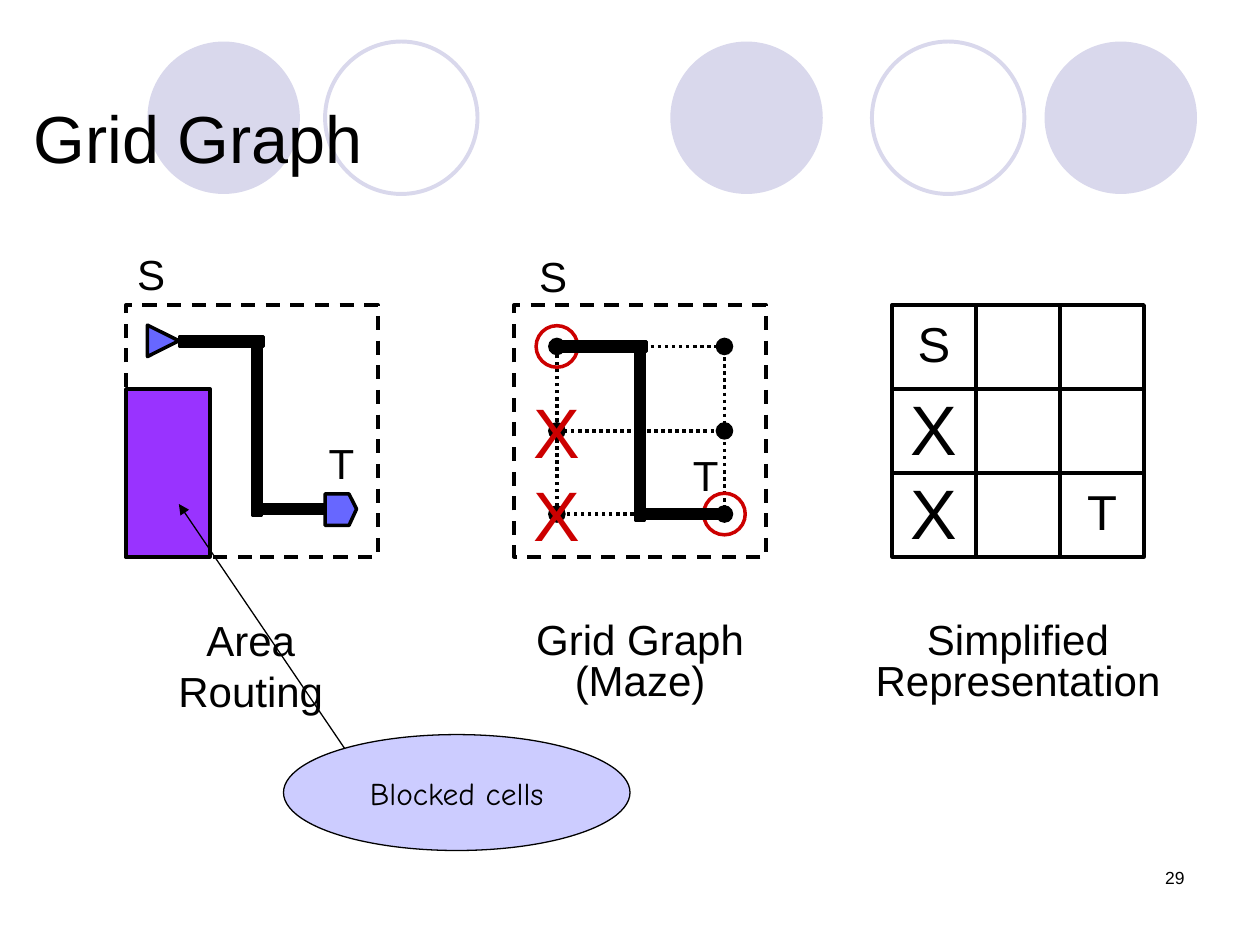
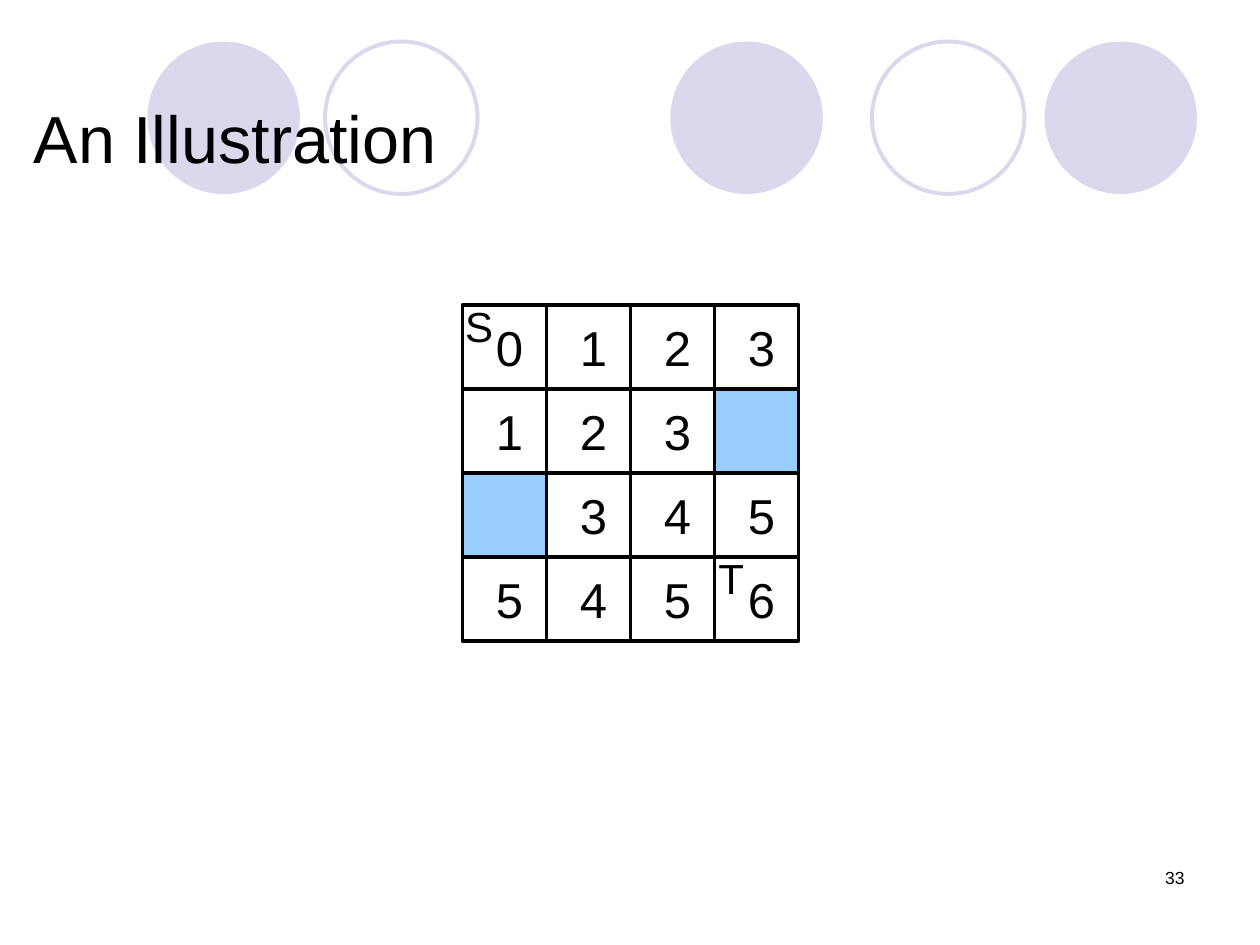
from lxml import etree
from pptx import Presentation
from pptx.dml.color import RGBColor
from pptx.enum.dml import MSO_LINE
from pptx.enum.shapes import MSO_CONNECTOR, MSO_SHAPE
from pptx.enum.text import MSO_ANCHOR, PP_ALIGN
from pptx.oxml.ns import qn
from pptx.util import Inches, Pt

RECT, OVAL, TRIANGLE = MSO_SHAPE.RECTANGLE, MSO_SHAPE.OVAL, MSO_SHAPE.ISOSCELES_TRIANGLE
STRAIGHT = MSO_CONNECTOR.STRAIGHT
DASH, DOT = MSO_LINE.DASH, MSO_LINE.ROUND_DOT
LEFT, CENTER, RIGHT = PP_ALIGN.LEFT, PP_ALIGN.CENTER, PP_ALIGN.RIGHT
TOP, MIDDLE = MSO_ANCHOR.TOP, MSO_ANCHOR.MIDDLE

BLACK = RGBColor(0x00, 0x00, 0x00)
RED = RGBColor(0xCC, 0x00, 0x00)
LILAC = RGBColor(0xD9, 0xD8, 0xEC)
PURPLE = RGBColor(0x99, 0x33, 0xFF)
VIOLET = RGBColor(0x67, 0x67, 0xFF)
LAVENDER = RGBColor(0xCC, 0xCC, 0xFF)
SKY = RGBColor(0x99, 0xCC, 0xFF)

SANS, COMIC = "Arial", "Comic Neue"
CELL = 2 / 3
GRID_TOP = 2.42
BAR = 0.08
EMS = {"S": 0.67, "T": 0.61, "X": 0.67}  # letter widths; a digit takes 0.56

# Content
DISCS = [(5.32, True), (8.29, True), (1.17, True), (6.92, False), (2.58, False)]
ROUTE = ["S  ".split(" "), ["X", "", ""], ["X", "", "T"]]
STEPS = [["0", "1", "2", "3"], ["1", "2", "3", "#"], ["#", "3", "4", "5"], ["5", "4", "5", "6"]]
CORNERS = [("S", 0, 0), ("T", 3, 3)]  # letter, row, column
CAPTIONS = [  # lines, centre x, top, width
    (["Area Routing"], 1.99, 4.83, 2.14),
    (["Grid Graph", "(Maze)"], 5.08, 4.9, 1.85),
    (["Simplified", "Representation"], 8.08, 4.9, 2.46),
]
AREA_ENDS = [("S", 1.2, 2.17), ("T", 2.71, 3.67)]
MAZE_ENDS = [("S", 4.39, 2.19), ("T", 5.6, 3.77)]
AREA_BARS = [(1.42, 2.67, 0.67, BAR), (2, 4, 0.58, BAR), (2, 2.67, BAR, 1.42)]
MAZE_BARS = [(4.46, 2.71, 0.67, BAR), (5.04, 4.04, 0.71, BAR), (5.04, 2.71, BAR, 1.42)]
PIN = [(2.58, 3.92), (2.77, 3.92), (2.83, 4.04), (2.77, 4.17), (2.58, 4.17)]
MAZE_X, MAZE_Y = [4.42, 5.08, 5.75], [2.75, 3.42, 4.08]


def apply(obj, values):
    for name, value in values.items():
        setattr(obj, name, value)


def paint(shape, fill=None, line=BLACK, width=2, dash=None):
    shape.shadow.inherit = False
    if fill is None:
        shape.fill.background()
    else:
        shape.fill.solid()
        shape.fill.fore_color.rgb = fill
    if line is None:
        shape.line.fill.background()
    else:
        shape.line.color.rgb = line
        apply(shape.line, {"width": Pt(width), "dash_style": dash})
    return shape


def draw(slide, kind, x, y, w, h, **look):
    shape = slide.shapes.add_shape(kind, *map(Inches, (x, y, w, h)))
    return paint(shape, **look)


def disc(slide, x, y, size, **look):
    """Draw a circle around the centre x, y."""
    return draw(slide, OVAL, x - size / 2, y - size / 2, size, size, **look)


def join(slide, start, end, width, dash=None, arrow=False):
    """Draw a straight line, with an arrowhead at its start if asked."""
    line = slide.shapes.add_connector(STRAIGHT, *map(Inches, (*start, *end)))
    line.line.color.rgb = BLACK
    apply(line.line, {"width": Pt(width), "dash_style": dash})
    props = line.line._get_or_add_ln()
    if arrow:
        etree.SubElement(props, qn("a:headEnd"), type="triangle")
    etree.SubElement(props.getparent(), qn("a:effectLst"))


def write(shape, lines, size, align=CENTER, anchor=TOP, wrap=False,
          font=SANS, color=BLACK, space=None):
    frame = shape.text_frame
    apply(frame, {"text": "\n".join(lines), "word_wrap": wrap, "vertical_anchor": anchor})
    for para in frame.paragraphs:
        apply(para, {"alignment": align, "line_spacing": space})
        apply(para.font, {"size": Pt(size), "name": font})
        para.font.color.rgb = color


def text(slide, lines, x, y, w, h, size, **look):
    write(slide.shapes.add_textbox(*map(Inches, (x, y, w, h))), lines, size, **look)


def mark(slide, letter, x, y, size, color=BLACK):
    """Write one letter around the centre x, y."""
    w = 0.2 + EMS.get(letter, 0.56) * size / 72
    h = 0.1 + 1.2 * size / 72
    text(slide, [letter], x - w / 2, y - h / 2, w, h, size, color=color)


def spot(left, row, col):
    """Give the centre of a grid cell."""
    return left + (col + 0.5) * CELL, GRID_TOP + (row + 0.5) * CELL


def grid(slide, left, rows, dx=0, dy=0):
    """Draw a square grid; "#" marks a filled cell, and marks shift by dx, dy."""
    cells = [(r, c, mark_) for r, row in enumerate(rows) for c, mark_ in enumerate(row)]
    for r, c, sign in cells:
        draw(slide, RECT, left + c * CELL, GRID_TOP + r * CELL, CELL, CELL,
             fill=SKY if sign == "#" else None)
    for r, c, sign in cells:
        if sign and sign != "#":
            x, y = spot(left, r, c)
            mark(slide, sign, x + dx, y + dy, 40 if sign == "X" else 28)


def bars(slide, boxes):
    for box in boxes:
        draw(slide, RECT, *box, fill=BLACK, width=1.5)


def area(slide):
    draw(slide, RECT, 1, GRID_TOP, 2, 2, dash=DASH)
    draw(slide, RECT, 1, GRID_TOP + CELL, CELL, 2 * CELL, fill=PURPLE)
    first, *rest = [tuple(map(Inches, point)) for point in PIN]
    outline = slide.shapes.build_freeform(*first)
    outline.add_line_segments(rest, close=True)
    paint(outline.convert_to_shape(), fill=VIOLET)
    draw(slide, TRIANGLE, 1.17, 2.58, 0.25, 0.25, fill=VIOLET).rotation = 90
    bars(slide, AREA_BARS)
    for letter, x, y in AREA_ENDS:
        mark(slide, letter, x, y, 24)


def maze(slide):
    west, mid, east = MAZE_X
    north, half, south = MAZE_Y
    draw(slide, RECT, west, north, east - west, south - north, dash=DOT)
    for x in (west, east):
        for y in MAZE_Y:
            disc(slide, x, y, 0.14, fill=BLACK, line=None)
    for start, end in ((mid, east), (west, mid)):
        join(slide, (start, half), (end, half), 2, dash=DOT)
    for x, y in ((west, north), (east, south)):
        disc(slide, x, y, 0.33, line=RED)
    bars(slide, MAZE_BARS)
    draw(slide, RECT, 4.08, GRID_TOP, 2, 2, dash=DASH)
    for y in (half, south):
        mark(slide, "X", west, y, 40, RED)
    for letter, x, y in MAZE_ENDS:
        mark(slide, letter, x, y, 24)


def start(deck, title, number):
    """Add a slide with the shared circles, title and number."""
    slide = deck.slides.add_slide(deck.slide_layouts[6])
    for x, solid in DISCS:
        look = {"fill": LILAC, "line": None} if solid else {"line": LILAC, "width": 2.25}
        draw(slide, OVAL, x, 0.33, 1.21, 1.21, **look)
    text(slide, [title], 0.17, 0.75, 9.67, 0.67, 38, align=LEFT, anchor=MIDDLE, wrap=True)
    text(slide, [str(number)], 7.17, 6.83, 2.33, 0.5, 10, align=RIGHT, wrap=True)
    return slide


def graph(deck):
    slide = start(deck, "Grid Graph", 29)
    grid(slide, 7.08, ROUTE, dy=-0.03)
    area(slide)
    maze(slide)
    for lines, x, y, w in CAPTIONS:
        pair = len(lines) > 1
        text(slide, lines, x - w / 2, y, w, 0.74 if pair else 0.5, 24,
             space=0.8 if pair else None)
    join(slide, (1.42, 4), (2.83, 6.08), 0.75, arrow=True)
    note = draw(slide, OVAL, 2.25, 5.83, 2.75, 0.92, fill=LAVENDER, width=0.75)
    write(note, ["Blocked cells"], 18, anchor=MIDDLE, font=COMIC)


def steps(deck):
    slide = start(deck, "An Illustration", 33)
    left = 3.67
    grid(slide, left, STEPS, dx=0.04)
    for letter, row, col in CORNERS:
        x, y = spot(left, row, col)
        mark(slide, letter, x - 0.2, y - 0.17, 24)


def main():
    deck = Presentation()
    apply(deck, {"slide_width": Inches(10), "slide_height": Inches(7.5)})
    graph(deck)
    steps(deck)
    deck.save("out.pptx")


if __name__ == "__main__":
    main()
